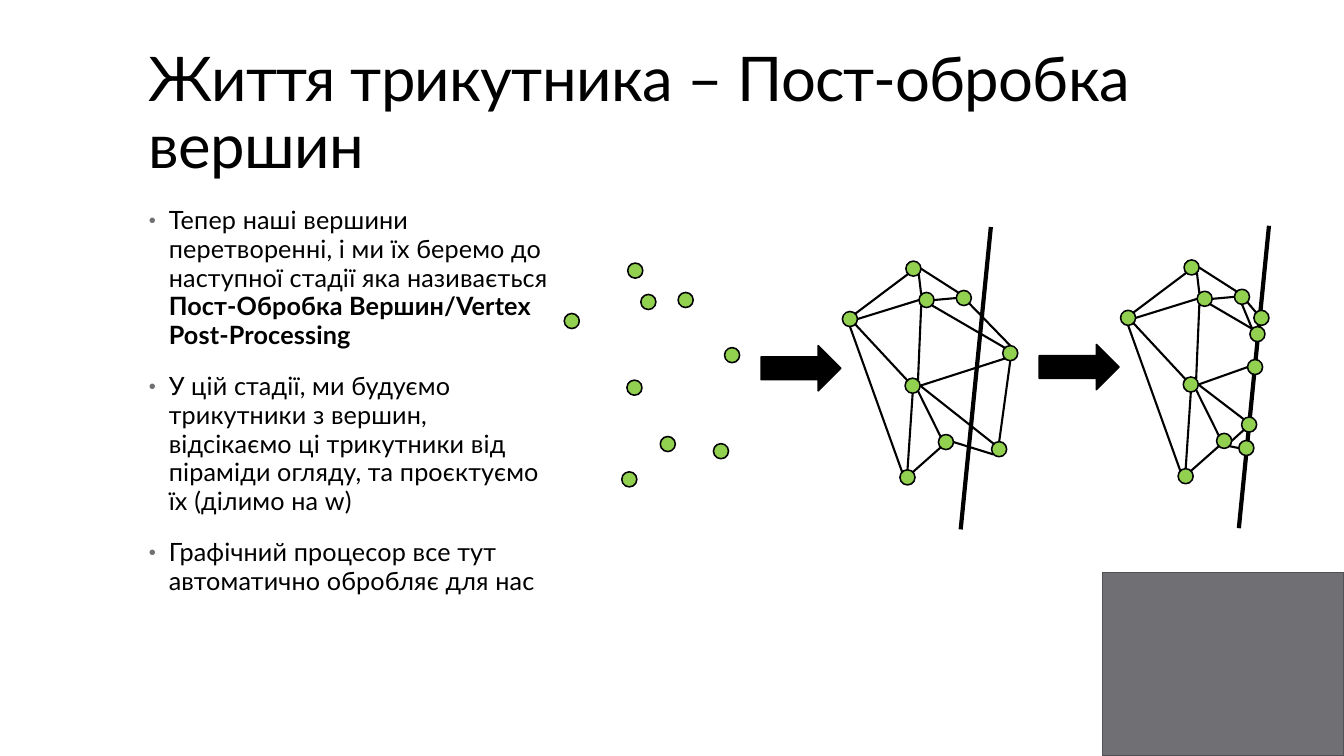
from math import cos, radians, sin

from lxml.etree import SubElement
from pptx import Presentation
from pptx.dml.color import RGBColor
from pptx.enum.shapes import MSO_CONNECTOR as Connector, MSO_SHAPE as Shape
from pptx.enum.text import MSO_ANCHOR as Anchor, MSO_AUTO_SIZE as AutoSize, PP_ALIGN as Align
from pptx.oxml.ns import qn
from pptx.util import Cm, Pt

FONT = "Lato"
BLACK, GREEN, GRAY, GRAY_EDGE = "000000", "92D050", "6F6F74", "525256"
DOT = 0.38
STAGE_STEP = 7.01

TITLE = "Життя трикутника – Пост-обробка вершин"
BULLETS = [
    [("Тепер наші вершини перетворенні, і ми їх беремо до наступної стадії яка називається ", False),
     ("Пост-Обробка Вершин/Vertex Post-Processing", True)],
    [("У цій стадії, ми будуємо трикутники з вершин, відсікаємо ці трикутники "
      "від піраміди огляду, та проєктуємо їх (ділимо на w)", False)],
    [("Графічний процесор все тут автоматично обробляє для нас", False)],
]

# Left and top of each vertex in cm, as placed in the middle stage
INSIDE = {
    "A": (22.83, 6.58), "B": (24.1, 7.32), "D": (21.23, 7.85), "E": (22.81, 9.53),
    "F": (22.68, 11.84), "H": (23.16, 7.37), "I": (23.65, 10.95),
}
OUTSIDE = {"C": (25.27, 8.71), "G": (24.99, 11.13)}
CLIPPED = {
    "P": (24.59, 7.85), "Q": (24.49, 8.26), "R": (24.43, 9.09),
    "S": (24.28, 10.54), "T": (24.21, 11.13),
}
# An edge end is a vertex and the compass side of its dot
ANGLES = {"e": 0, "se": 45, "s": 90, "sw": 135, "w": 180, "nw": 225, "n": 270, "ne": 315}
INNER_EDGES = [
    "He Bw", "Ae Bnw", "Asw Dne", "Ase Hnw", "De Hw", "Ene Hsw",
    "Dse Enw", "Fne Isw", "Es Fn", "Ese Inw", "Ds Fnw",
]
OUTER_EDGES = ["Ie Gsw", "Gn Cs", "Bse Cn", "Hse Cnw", "Ee Csw", "Ee Gnw"]
CLIPPED_EDGES = ["Ie Ssw", "Bse Pnw", "Hse Qnw", "Ee Rw", "Ee Snw", "Qnw Bs", "Ise Tw"]


def rgb(value):
    return RGBColor.from_string(value)


def add_text(paragraph, text, size, color=BLACK, bold=False, tracking=0):
    """Add a run; tracking is in hundredths of a point."""
    run = paragraph.add_run()
    run.text = text
    run.font.name = FONT
    run.font.size = Pt(size)
    run.font.bold = bold
    run.font.color.rgb = rgb(color)
    run.font._element.set("spc", str(tracking))


def add_bullet(paragraph):
    props = paragraph._p.get_or_add_pPr()
    props.set("marL", str(Cm(0.5)))
    props.set("indent", str(-Cm(0.5)))
    SubElement(SubElement(props, qn("a:buClr")), qn("a:srgbClr")).set("val", GRAY)
    SubElement(props, qn("a:buSzPct")).set("val", "80000")
    SubElement(props, qn("a:buFont")).set("typeface", "Arial")
    SubElement(props, qn("a:buChar")).set("char", "•")


def place(shape, left, top, width, height):
    shape.left, shape.top, shape.width, shape.height = map(Cm, (left, top, width, height))


def add_figure(slide, kind, left, top, width, height, fill, line=BLACK):
    figure = slide.shapes.add_shape(kind, Cm(left), Cm(top), Cm(width), Cm(height))
    figure.shadow.inherit = False
    figure.fill.solid()
    figure.fill.fore_color.rgb = rgb(fill)
    figure.line.color.rgb = rgb(line)
    figure.line.width = Pt(1.1)


def add_line(slide, start, end, width):
    line = slide.shapes.add_connector(Connector.STRAIGHT, *map(Cm, (*start, *end)))
    line.line.color.rgb = rgb(BLACK)
    line.line.width = Pt(width)
    SubElement(line._element.spPr, qn("a:effectLst"))


def shift(points, dx, dy):
    return {name: (x + dx, y + dy) for name, (x, y) in points.items()}


def add_dots(slide, vertices):
    for left, top in vertices.values():
        add_figure(slide, Shape.OVAL, left, top, DOT, DOT, GREEN)


def edge_end(vertices, code):
    left, top = vertices[code[0]]
    angle = radians(ANGLES[code[1:]])
    radius = DOT / 2
    return left + radius * (1 + cos(angle)), top + radius * (1 + sin(angle))


def add_edges(slide, vertices, edges):
    for edge in edges:
        start, end = (edge_end(vertices, code) for code in edge.split())
        add_line(slide, start, end, 1.5)


def add_arrow_and_plane(slide, dx, dy):
    """Add the arrow leading into a stage and its clipping plane."""
    add_figure(slide, Shape.RIGHT_ARROW, 19.18 + dx, 8.71 + dy, 2.01, 1.14, BLACK)
    add_line(slide, (24.97 + dx, 5.72 + dy), (24.21 + dx, 13.34 + dy), 3)


def add_vertex_stage(slide):
    add_dots(slide, shift(INSIDE | OUTSIDE, -STAGE_STEP, 0.05))


def add_triangle_stage(slide):
    vertices = INSIDE | OUTSIDE
    add_dots(slide, vertices)
    add_edges(slide, vertices, INNER_EDGES + OUTER_EDGES)
    add_arrow_and_plane(slide, 0, 0)


def add_clipped_stage(slide):
    offset = (STAGE_STEP, -0.03)
    inside, clipped = shift(INSIDE, *offset), shift(CLIPPED, *offset)
    add_dots(slide, inside)
    add_edges(slide, inside | clipped, INNER_EDGES + CLIPPED_EDGES)
    add_arrow_and_plane(slide, *offset)
    add_dots(slide, clipped)


def fill_title(title):
    place(title, 3.5, 1.02, 29.44, 3.68)
    frame = title.text_frame
    frame.auto_size = AutoSize.NONE
    frame.vertical_anchor = Anchor.BOTTOM
    heading = frame.paragraphs[0]
    heading.alignment = Align.LEFT
    heading.line_spacing = 0.9
    add_text(heading, TITLE, size=44, tracking=-50)


def fill_body(body):
    place(body, 3.5, 5.08, 10.59, 12.09)
    frame = body.text_frame
    frame.auto_size = AutoSize.NONE
    for index, runs in enumerate(BULLETS):
        item = frame.add_paragraph() if index else frame.paragraphs[0]
        add_bullet(item)
        item.line_spacing = 0.95
        item.space_before = Pt(14 if index else 0)
        item.space_after = Pt(2)
        for text, bold in runs:
            add_text(item, text, size=18, bold=bold, tracking=10)


def main():
    deck = Presentation()
    deck.slide_width, deck.slide_height = Cm(33.87), Cm(19.05)
    slide = deck.slides.add_slide(deck.slide_layouts[1])
    add_figure(slide, Shape.RECTANGLE, 27.79, 14.43, 6.08, 4.62, GRAY, GRAY_EDGE)
    fill_title(slide.shapes.title)
    fill_body(slide.placeholders[1])
    add_triangle_stage(slide)
    add_vertex_stage(slide)
    add_clipped_stage(slide)
    deck.save("out.pptx")


if __name__ == "__main__":
    main()
